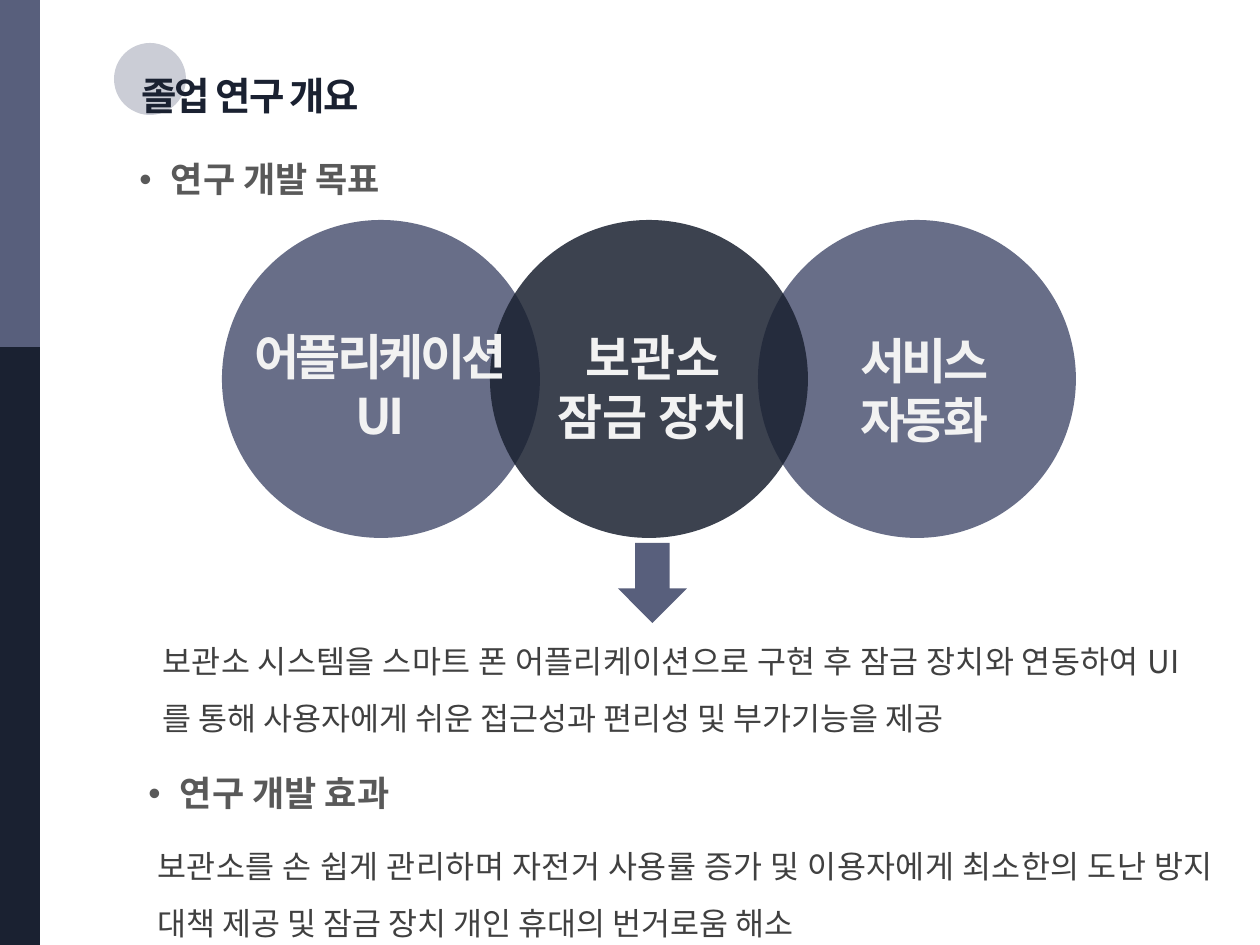
from dataclasses import dataclass
from lxml import etree
from pptx import Presentation
from pptx import util as u
from pptx.dml.color import RGBColor
from pptx.enum import shapes, text
from pptx.oxml.ns import qn

SCALE = 914400 / 126


@dataclass(frozen=True)
class Theme:
    """Colours, font and type sizes."""
    navy: str = "1A2131"
    slate: str = "585F7C"
    pale: str = "F2F2F2"
    gray: str = "595959"
    ink: str = "404040"
    font: str = "Noto Sans CJK KR"
    title: int = 22
    head: int = 20
    body: int = 18
    ring: int = 28


T = Theme()
KIND = shapes.MSO_SHAPE
ALIGN = text.PP_ALIGN


def px(n):
    """Turn pixels into EMU."""
    return u.Emu(round(n * SCALE))


def form(slide, kind, box, color, alpha=100):
    """Add a filled preset shape without outline."""
    shape = slide.shapes.add_shape(kind, *map(px, box))
    shape.shadow.inherit = False
    shape.line.fill.background()
    shape.fill.solid()
    shape.fill.fore_color.rgb = RGBColor.from_string(color)
    if alpha < 100:
        tint = shape.fill._xPr.find(".//" + qn("a:srgbClr"))
        etree.SubElement(tint, qn("a:alpha")).set("val", str(alpha * 1000))


def label(slide, box, lines, size, color, bold=False, track=0,
          align=ALIGN.LEFT, lead=None, dot=False, grow=True):
    """Add a text box with one paragraph per line."""
    frame = slide.shapes.add_textbox(*map(px, box)).text_frame
    frame.word_wrap = True
    if grow:
        frame.auto_size = text.MSO_AUTO_SIZE.SHAPE_TO_FIT_TEXT
    for i, line in enumerate(lines):
        para = frame.add_paragraph() if i else frame.paragraphs[0]
        para.alignment = align
        if lead:
            para.line_spacing = lead
        if dot:
            props = para._p.get_or_add_pPr()
            props.set("marL", str(u.Inches(0.25)))
            props.set("indent", str(-u.Inches(0.25)))
            etree.SubElement(props, qn("a:buFont")).set("typeface", "Arial")
            etree.SubElement(props, qn("a:buChar")).set("char", "•")
        write(para, line, size, color, bold, track)


def write(para, words, size, color, bold, track):
    """Add one styled run."""
    run = para.add_run()
    run.text = words
    font = run.font
    font.size, font.bold, font.name = u.Pt(size), bold, T.font
    font.color.rgb = RGBColor.from_string(color)
    props = run._r.get_or_add_rPr()
    if track:
        props.set("spc", str(track * 100))
    etree.SubElement(props, qn("a:ea")).set("typeface", T.font)


def head(slide, left, top, words):
    """Add a bulleted section heading."""
    label(slide, (left, top, 444, 43), [words], T.head, T.gray, True,
          align=ALIGN.JUSTIFY, lead=0.9, dot=True, grow=False)


def body(slide, box, words, grow):
    """Add a justified paragraph."""
    label(slide, box, [words], T.body, T.ink,
          align=ALIGN.JUSTIFY, lead=1.5, grow=grow)


def rings(slide):
    """Add three overlapping circles with their labels."""
    left, top, size, step = 222, 220, 318, 268
    for i, color, alpha in ((0, T.slate, 90), (2, T.slate, 90), (1, T.navy, 85)):
        form(slide, KIND.OVAL, (left + i * step, top, size, size), color, alpha)
    for box, lines, track in (
        ((494, 321, 318, 131), ("보관소", "잠금 장치"), 0),
        ((227, 320, 307, 131), ("어플리케이션", "UI"), -2),
        ((771, 324, 307, 131), ("서비스", "자동화"), -2),
    ):
        label(slide, box, lines, T.ring, T.pale, True, track, ALIGN.CENTER)


def main():
    """Build the slide and save it."""
    deck = Presentation()
    deck.slide_width, deck.slide_height = px(1260), px(945)
    slide = deck.slides.add_slide(deck.slide_layouts[6])
    form(slide, KIND.RECTANGLE, (0, 181, 40, 764), T.navy)
    form(slide, KIND.RECTANGLE, (0, 0, 40, 347), T.slate)
    form(slide, KIND.OVAL, (114, 43, 72, 72), T.slate, 31)
    label(slide, (129, 66, 402, 59), ["졸업 연구 개요"], T.title, T.navy, True, -1)
    rings(slide)
    form(slide, KIND.DOWN_ARROW, (618, 543, 69, 80), T.slate)
    body(slide, (150, 617, 1042, 127),
         "보관소 시스템을 스마트 폰 어플리케이션으로 구현 후 잠금 장치와 연동하여 "
         "UI를 통해 사용자에게 쉬운 접근성과 편리성 및 부가기능을 제공", True)
    head(slide, 127, 156, "연구 개발 목표")
    head(slide, 136, 770, "연구 개발 효과")
    body(slide, (145, 822, 1081, 107),
         "보관소를 손 쉽게 관리하며 자전거 사용률 증가 및 이용자에게 최소한의 도난 방지 "
         "대책 제공 및 잠금 장치 개인 휴대의 번거로움 해소", False)
    deck.save("out.pptx")


if __name__ == "__main__":
    main()
